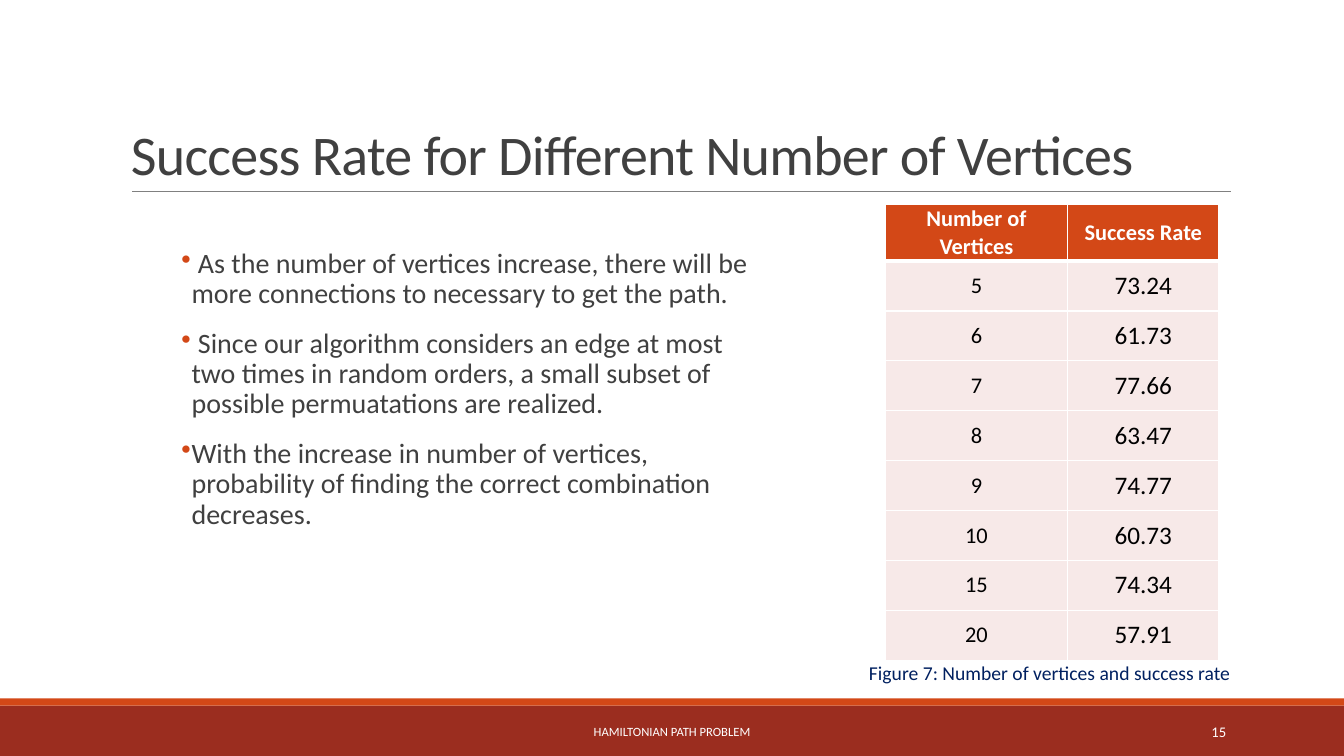
from lxml import etree
from pptx import Presentation
from pptx.dml.color import RGBColor
from pptx.enum import shapes, text
from pptx.oxml import ns
from pptx.util import Inches, Pt

FONT = "Calibri"
ORANGE, BRICK, PINK = "D34817", "9B2D1F", "F7E9E8"
WHITE, BLACK, CHARCOAL, GRAY, NAVY = "FFFFFF", "000000", "404040", "808080", "002060"
LEFT, CENTER, RIGHT = text.PP_ALIGN.LEFT, text.PP_ALIGN.CENTER, text.PP_ALIGN.RIGHT
TOP, MIDDLE, BOTTOM = text.MSO_ANCHOR.TOP, text.MSO_ANCHOR.MIDDLE, text.MSO_ANCHOR.BOTTOM

REASONS = [
    " As the number of vertices increase, there will be more connections to necessary to get the path.",
    " Since our algorithm considers an edge at most two times in random orders, "
    "a small subset of possible permuatations are realized.",
    "With the increase in number of vertices, probability of finding the correct combination decreases.",
]
HEADINGS = ("Number of Vertices", "Success Rate")
RATES = [("5", "73.24"), ("6", "61.73"), ("7", "77.66"), ("8", "63.47"),
         ("9", "74.77"), ("10", "60.73"), ("15", "74.34"), ("20", "57.91")]


def color(hex_code):
    return RGBColor.from_string(hex_code)


def inches(box):
    return [Inches(length) for length in box]


def style(paragraph, size, hex_code, align=LEFT, bold=False):
    paragraph.alignment = align
    font = paragraph.font
    font.name, font.size, font.bold = FONT, Pt(size), bold
    font.color.rgb = color(hex_code)


def add_text(slide, box, lines, size, hex_code, align=LEFT, anchor=TOP, wrap=True):
    frame = slide.shapes.add_textbox(*inches(box)).text_frame
    frame.word_wrap, frame.vertical_anchor = wrap, anchor
    frame.text = "\n".join(lines)
    for paragraph in frame.paragraphs:
        style(paragraph, size, hex_code, align)
    return frame


def add_band(slide, box, hex_code):
    band = slide.shapes.add_shape(shapes.MSO_SHAPE.RECTANGLE, *inches(box))
    band.shadow.inherit = False
    band.fill.solid()
    band.fill.fore_color.rgb = color(hex_code)
    band.line.fill.background()


def add_footer(slide, box):
    left, top, width, height = box
    stripe = 0.07
    add_band(slide, (left, top + stripe, width, height - stripe), BRICK)
    add_band(slide, (left, top, width, stripe), ORANGE)
    label_top = top + 0.13
    add_text(slide, (left + 4.03, label_top, 5.27, 0.4), ["HAMILTONIAN PATH PROBLEM"],
             9, WHITE, CENTER, MIDDLE)
    add_text(slide, (left + 10.83, label_top, 1.43, 0.4), ["15"], 10.5, WHITE, RIGHT, MIDDLE)


def add_title(slide, box):
    left, top, width, height = box
    base = top + height
    rule = slide.shapes.add_connector(
        shapes.MSO_CONNECTOR.STRAIGHT, *inches((left + 0.11, base, left + width + 0.01, base)))
    rule.line.color.rgb, rule.line.width = color(GRAY), Pt(0.5)
    etree.SubElement(rule._element.spPr, ns.qn("a:effectLst"))

    heading = add_text(slide, box, ["Success Rate for Different Number of Vertices"],
                       40, CHARCOAL, anchor=BOTTOM).paragraphs[0]
    heading.line_spacing = 0.85
    heading.runs[0].font._element.set("spc", "-50")


def add_reasons(slide, box):
    frame = add_text(slide, box, REASONS, 20, CHARCOAL)
    frame.margin_left = frame.margin_right = 0
    indent = Inches(0.1)
    for reason in frame.paragraphs:
        reason.line_spacing = 0.9
        reason.space_before, reason.space_after = Pt(12), Pt(2)
        # Hanging bullet
        props = reason._p.get_or_add_pPr()
        props.set("marL", str(indent))
        props.set("indent", str(-indent))
        tint = etree.Element(ns.qn("a:buClr"))
        etree.SubElement(tint, ns.qn("a:srgbClr"), val=ORANGE)
        bullet = etree.Element(ns.qn("a:buChar"), char="•")
        props.find(ns.qn("a:spcAft")).addnext(tint)
        tint.addnext(bullet)


def add_borders(cell, top, bottom):
    props = cell._tc.get_or_add_tcPr()
    for side, points in (("L", 1), ("R", 1), ("T", top), ("B", bottom)):
        edge = etree.SubElement(props, ns.qn("a:ln" + side), w=str(Pt(points)))
        fill = etree.SubElement(edge, ns.qn("a:solidFill"))
        etree.SubElement(fill, ns.qn("a:srgbClr"), val=WHITE)


def add_rates(slide, box):
    left, top, width, height = box
    rows = [HEADINGS] + RATES
    table = slide.shapes.add_table(len(rows), len(HEADINGS), *inches(box)).table
    table.horz_banding = False
    header_height = 0.56
    vertices_width = 1.81
    table.columns[0].width = Inches(vertices_width)
    table.columns[1].width = Inches(width - vertices_width)
    for r, values in enumerate(rows):
        header = r == 0
        table.rows[r].height = Inches(
            header_height if header else (height - header_height) / len(RATES))
        for c, value in enumerate(values):
            cell = table.cell(r, c)
            cell.text = value
            cell.vertical_anchor = MIDDLE
            is_rate = c == 1 and not header
            cell.margin_left = cell.margin_right = Inches(0.03 if is_rate else 0.02)
            cell.margin_top = cell.margin_bottom = Inches(0 if is_rate else 0.01)
            style(cell.text_frame.paragraphs[0], 18 if is_rate else 16,
                  WHITE if header else BLACK, CENTER, header)
            add_borders(cell, 3 if r == 1 else 1, 3 if header else 1)
            cell.fill.solid()
            cell.fill.fore_color.rgb = color(ORANGE if header else PINK)

    # Caption under the table
    add_text(slide, (left - 0.26, top + height - 0.04, 3.82, 0.34),
             ["Figure 7: Number of vertices and success rate"], 14, NAVY, wrap=False)


deck = Presentation()
deck.slide_width, deck.slide_height = Inches(13.33), Inches(7.5)
page = deck.slides.add_slide(deck.slide_layouts[6])
add_footer(page, (0, 6.93, 13.33, 0.57))
add_title(page, (1.2, 0.31, 11, 1.59))
add_reasons(page, (1.8, 2.42, 5.75, 4.45))
add_rates(page, (8.78, 2.03, 3.31, 4.52))
deck.save("out.pptx")
